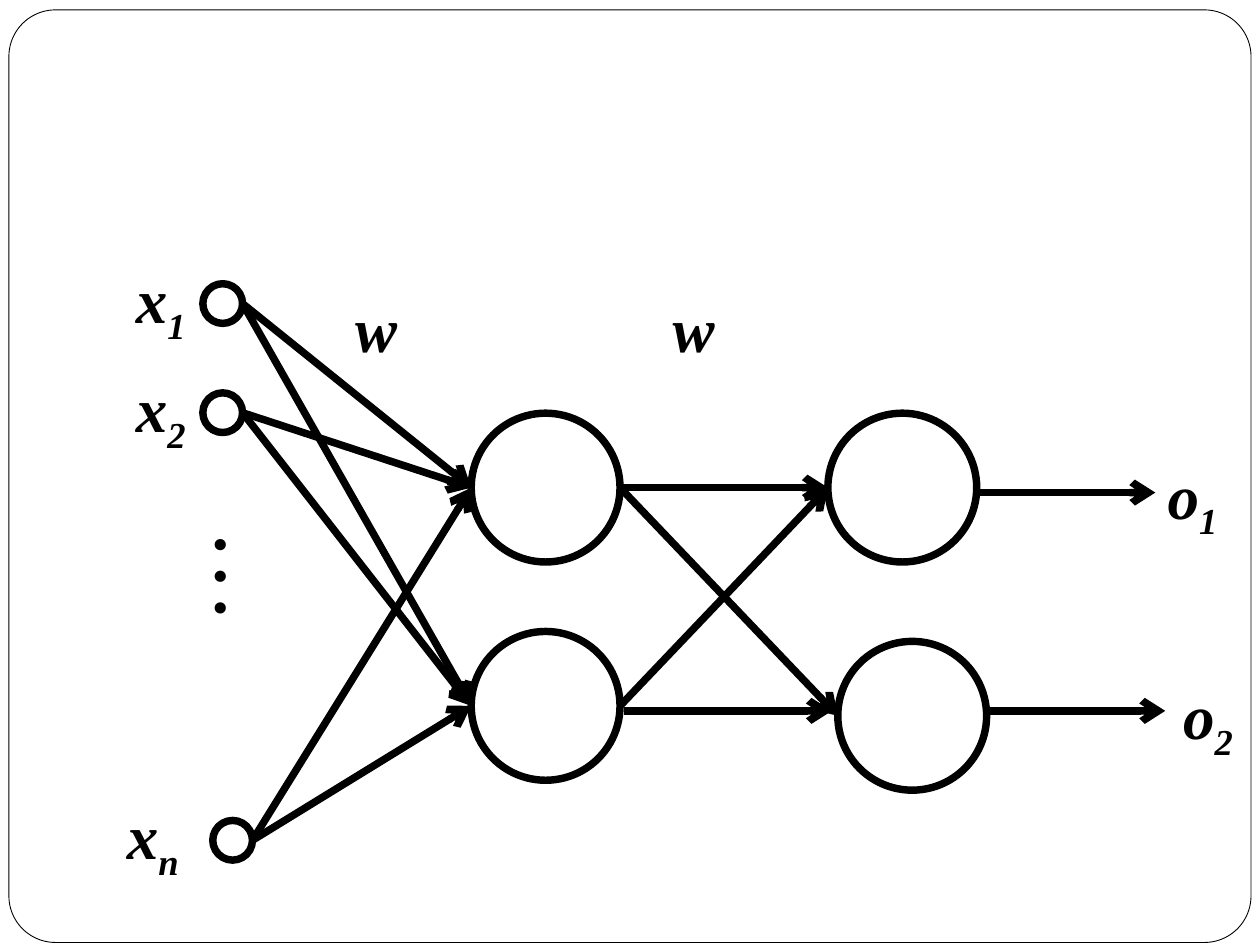
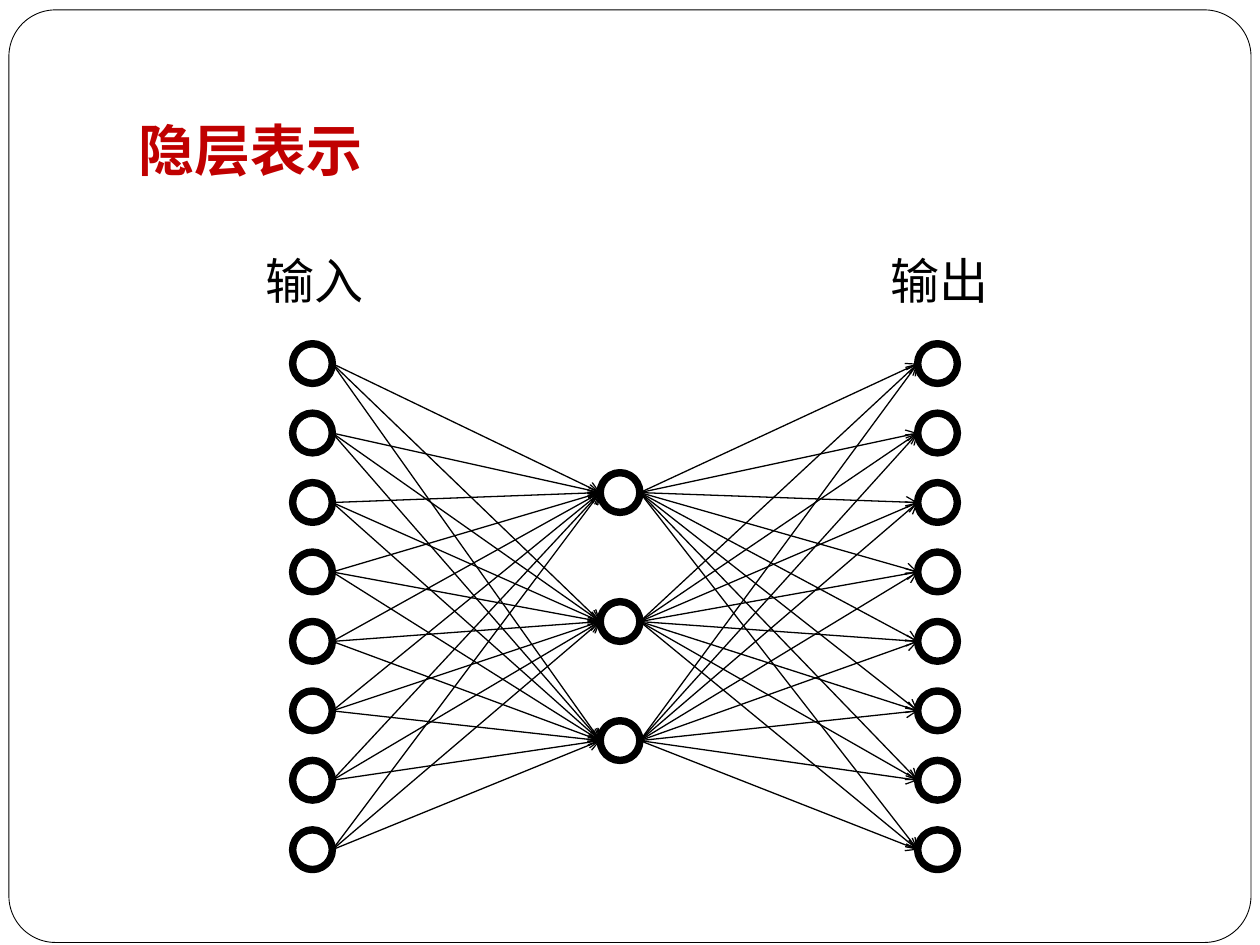
from itertools import product
from lxml.etree import SubElement
from pptx import Presentation
from pptx.dml.color import RGBColor as Rgb
from pptx.enum.shapes import MSO_CONNECTOR as Link, MSO_SHAPE as Shape
from pptx.enum.text import MSO_ANCHOR as Anchor, MSO_AUTO_SIZE as Fit, PP_ALIGN as Align
from pptx.oxml.ns import qn
from pptx.util import Cm, Pt

COLORS = {"ink": "000000", "paper": "FFFFFF", "title": "C00000"}
FONT = "Times New Roman"
THICK, THIN = 4.25, 0.75


def color(name):
    return Rgb.from_string(COLORS[name])


def write(para, text, size=36, ink="ink", bold=False, slant=False, sub=False):
    run = para.add_run()
    run.text = text
    font = run.font
    font.name, font.size = FONT, Pt(size)
    font.bold, font.italic = bold, slant
    font.color.rgb = color(ink)
    if sub:
        run._r.get_or_add_rPr().set("baseline", "-25000")


def left(node):
    x, y, size = node
    return x, y + size / 2


def right(node):
    x, y, size = node
    return x + size, y + size / 2


class Deck:
    """Draws network diagrams in one shared style on the current slide."""

    def __init__(self):
        self.show = Presentation()
        self.show.slide_width, self.show.slide_height = Cm(25.4), Cm(19.05)

    def page(self, title=None):
        layout = self.show.slide_layouts[5 if title else 6]
        self.slide = self.show.slides.add_slide(layout)
        self.shapes = self.slide.shapes
        self.frame()
        if title:
            self.title(title)

    def outline(self, kind, box, width):
        shape = self.shapes.add_shape(kind, *map(Cm, box))
        shape.shadow.inherit = False
        shape.fill.background()
        shape.line.color.rgb = color("ink")
        shape.line.width = Pt(width)
        return shape

    def frame(self):
        shape = self.outline(Shape.ROUNDED_RECTANGLE, (0.18, 0.2, 25.04, 18.8), 0.5)
        shape.adjustments[0] = 0.05
        shape.fill.solid()
        shape.fill.fore_color.rgb = color("paper")
        self.shapes._spTree.insert(2, shape._element)

    def title(self, text):
        head = self.shapes.title
        head.left, head.top, head.width, head.height = map(Cm, (2.54, 0.76, 21.59, 3.18))
        body = head.text_frame
        body.auto_size = Fit.NONE
        body.vertical_anchor = Anchor.BOTTOM
        body.margin_bottom = Cm(0.25)
        para = body.paragraphs[0]
        para.alignment = Align.LEFT
        write(para, text, size=32, ink="title", bold=True)

    def node(self, x, y, size):
        self.outline(Shape.OVAL, (x, y, size, size), THICK)

    def arrow(self, start, end, width):
        line = self.shapes.add_connector(Link.STRAIGHT, *map(Cm, start + end))
        line.line.color.rgb = color("ink")
        line.line.width = Pt(width)
        SubElement(line.line._get_or_add_ln(), qn("a:tailEnd"), type="arrow")
        SubElement(line._element.spPr, qn("a:effectLst"))

    def mesh(self, first, second, width):
        for a, b in product(first, second):
            self.arrow(right(a), left(b), width)

    def text(self, x, y, width, height):
        body = self.shapes.add_textbox(*map(Cm, (x, y, width, height))).text_frame
        body.word_wrap = True
        return body

    def label(self, x, y, text, index="", width=3.2, **style):
        para = self.text(x, y, width, 1.8).paragraphs[0]
        write(para, text, **style)
        if index:
            write(para, index, sub=True, **style)

    def dots(self, x, y, width, height):
        body = self.text(x, y, width, height)
        body._txBody.bodyPr.set("vert", "eaVert")
        para = body.paragraphs[0]
        para._p.get_or_add_pPr().set("marL", str(Cm(0.95)))
        write(para, "…", size=54)


def general(deck):
    deck.page()
    inputs = [(4.09, 5.72, 0.8), (4.09, 7.92, 0.8), (4.29, 16.54, 0.8)]
    hidden = [(9.5, 8.33, 3), (9.5, 12.73, 3)]
    outputs = [(16.69, 8.33, 3), (16.89, 12.93, 3)]
    for node in inputs + hidden + outputs:
        deck.node(*node)
    deck.mesh(inputs, hidden, THICK)
    deck.mesh(hidden[:1], outputs, THICK)
    deck.mesh(hidden[1:], outputs[:1], THICK)
    for x, y, length in ((12.57, 14.33, 4.2), (19.71, 9.93, 3.58), (19.91, 14.33, 3.58)):
        deck.arrow((x, y), (x + length, y), THICK)
    deck.dots(3.58, 9.47, 2.82, 3.61)
    labels = [
        (2.49, 5.13, "x", "1", 3.2), (2.49, 7.32, "x", "2", 3.2),
        (2.31, 15.93, "x", "n", 1.6), (6.91, 5.72, "w", "", 3.2),
        (13.31, 5.72, "w", "", 3.2), (23.29, 9.07, "o", "1", 1.8),
        (23.6, 13.51, "o", "2", 1.8),
    ]
    for x, y, text, index, width in labels:
        deck.label(x, y, text, index, width, bold=True, slant=True)


def coding(deck):
    deck.page("隐层表示")
    rows = [6.93 + 1.4 * i for i in range(8)]
    inputs = [(5.9, y, 0.8) for y in rows]
    outputs = [(18.5, y, 0.8) for y in rows]
    hidden = [(12.1, y, 0.8) for y in (9.53, 12.13, 14.53)]
    for node in inputs + outputs + hidden:
        deck.node(*node)
    deck.mesh(inputs, hidden, THIN)
    deck.mesh(hidden, outputs, THIN)
    for x, text in ((5.11, "输入"), (17.7, "输出")):
        deck.label(x, 4.93, text, size=28)


def main():
    deck = Deck()
    general(deck)
    coding(deck)
    deck.show.save("out.pptx")


if __name__ == "__main__":
    main()
